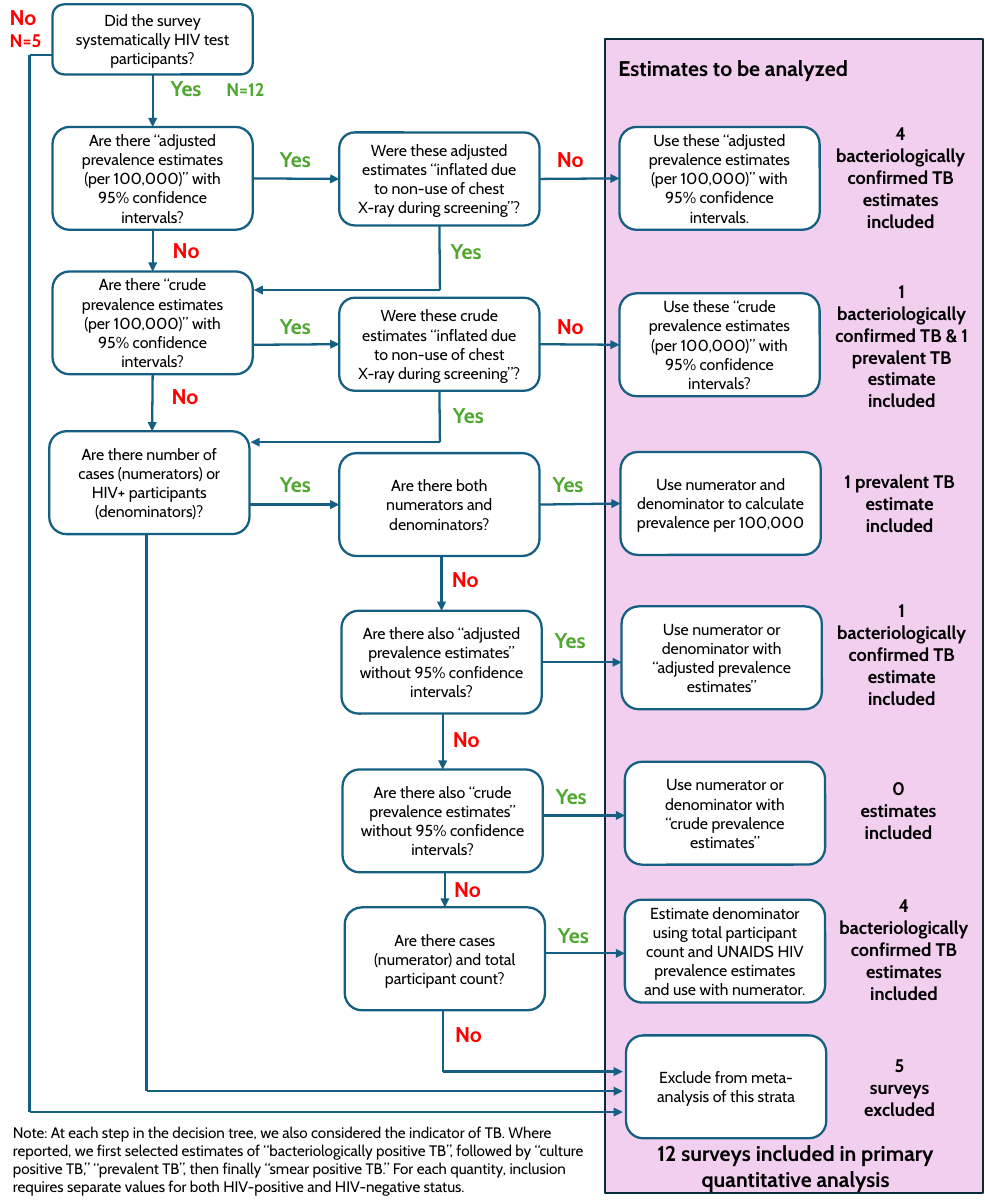
from pptx import Presentation
from pptx.dml.color import RGBColor
from pptx.enum.shapes import MSO_CONNECTOR, MSO_SHAPE
from pptx.enum.text import MSO_ANCHOR, MSO_AUTO_SIZE, PP_ALIGN
from pptx.util import Inches, Pt
from lxml.etree import SubElement
from pptx.oxml.ns import qn

FONT = "Cabin"
BLACK = RGBColor(0x00, 0x00, 0x00)
WHITE = RGBColor(0xFF, 0xFF, 0xFF)
PINK = RGBColor(0xF2, 0xCF, 0xEE)
NAVY = RGBColor(0x09, 0x2A, 0x39)
TEAL = RGBColor(0x15, 0x60, 0x82)
GREEN = RGBColor(0x4E, 0xA7, 0x2E)
RED = RGBColor(0xFF, 0x00, 0x00)
ANSWER = {"Yes": GREEN, "No": RED}

BOX_W, BOX_H = 1.83, 0.94
PANEL = (5.53, 0.36, 3.45, 10.54)
NOTE = (0.02, 10.21, 5.52, 0.77)

# Questions: key -> (left, top, height, text)
QUESTIONS = {
    "tested": (0.48, 0.04, 0.64, "Did the survey systematically HIV test participants?"),
    "adjusted": (0.48, 1.16, BOX_H, "Are there “adjusted prevalence estimates (per 100,000)” "
                 "with 95% confidence intervals?"),
    "crude": (0.48, 2.48, BOX_H, "Are there “crude prevalence estimates (per 100,000)” "
              "with 95% confidence intervals?"),
    "counts": (0.45, 3.94, BOX_H, "Are there number of cases (numerators) or HIV+ participants "
               "(denominators)?"),
    "adjusted_inflated": (3.1, 1.21, 0.85, "Were these adjusted estimates “inflated due to "
                          "non-use of chest\vX-ray during screening”?"),
    "crude_inflated": (3.1, 2.72, 0.85, "Were these crude estimates “inflated due to "
                       "non-use of chest\vX-ray during screening”?"),
    "both": (3.1, 4.14, BOX_H, "Are there both numerators and denominators?"),
    "adjusted_no_ci": (3.12, 5.58, BOX_H, "Are there also “adjusted prevalence estimates” "
                       "without 95% confidence intervals?"),
    "crude_no_ci": (3.13, 7.03, BOX_H, "Are there also “crude prevalence estimates” "
                    "without 95% confidence intervals?"),
    "cases": (3.15, 8.29, BOX_H, "Are there cases (numerator) and total participant count?"),
}

# Outcomes: key -> (left and top in panel, text, tally centre in panel, tally)
OUTCOMES = {
    "use_adjusted": (0.13, 0.8, "Use these “adjusted prevalence estimates (per 100,000)” "
                     "with 95% confidence intervals.",
                     2.7, 1.26, "4\nbacteriologically confirmed TB\nestimates\nincluded"),
    "use_crude": (0.13, 2.32, "Use these “crude prevalence estimates (per 100,000)” "
                  "with 95% confidence intervals?",
                  2.71, 2.8, "1\nbacteriologically confirmed TB & 1 prevalent TB\n"
                  "estimate\nincluded"),
    "calculate": (0.14, 3.77, "Use numerator and denominator to calculate prevalence "
                  "per 100,000", 2.69, 4.24, "1 prevalent TB\nestimate\vincluded"),
    "with_adjusted": (0.15, 5.18, "Use numerator or denominator with\v"
                      "“adjusted prevalence estimates”",
                      2.71, 5.62, "1\nbacteriologically confirmed TB\nestimate\nincluded"),
    "with_crude": (0.18, 6.6, "Use numerator or denominator with\v"
                   "“crude prevalence estimates”", 2.68, 7.04, "0\nestimates\nincluded"),
    "estimate": (0.18, 7.86, "Estimate denominator using total participant count and UNAIDS "
                 "HIV prevalence estimates and use with numerator.",
                 2.73, 8.31, "4\nbacteriologically confirmed TB\nestimates\nincluded"),
    "exclude": (0.19, 9.1, "Exclude from meta-analysis of this strata",
                2.69, 9.57, "5\nsurveys\vexcluded"),
}


def fill_text(shape, text, size, color=BLACK, bold=False, align=PP_ALIGN.LEFT,
              anchor=MSO_ANCHOR.TOP, wrap=True):
    tf = shape.text_frame
    tf.text = text
    tf.word_wrap = wrap
    tf.auto_size = MSO_AUTO_SIZE.NONE
    tf.vertical_anchor = anchor
    for p in tf.paragraphs:
        p.alignment = align
        for r in p.runs:
            r.font.name, r.font.size, r.font.bold = FONT, Pt(size), bold
            r.font.color.rgb = color


def add_text(s, box, text, size, **style):
    fill_text(s.shapes.add_textbox(*map(Inches, box)), text, size, **style)


def add_label(s, x, y, text):
    add_text(s, (x, y, 0.55, 0.34), text, 14, color=ANSWER[text], bold=True, wrap=False)


def add_panel_shape(s, kind, box, fill, line):
    sp = s.shapes.add_shape(kind, *map(Inches, box))
    sp.shadow.inherit = False
    sp.fill.solid()
    sp.fill.fore_color.rgb = fill
    sp.line.color.rgb = line
    sp.line.width = Pt(1.5)
    return sp


def add_step(s, x, y, h, text):
    sp = add_panel_shape(s, MSO_SHAPE.ROUNDED_RECTANGLE, (x, y, BOX_W, h), WHITE, TEAL)
    fill_text(sp, text, 10.5, align=PP_ALIGN.CENTER, anchor=MSO_ANCHOR.MIDDLE)
    return sp


def add_line(s, start, end, arrow=True):
    """Each end is a point in inches or a (shape, side) pair."""
    joins = [hasattr(e[0], "left") for e in (start, end)]
    points = [(0, 0) if joined else e for e, joined in zip((start, end), joins)]
    c = s.shapes.add_connector(MSO_CONNECTOR.STRAIGHT,
                               *(Inches(v) for point in points for v in point))
    if joins[0]:
        c.begin_connect(*start)
    if joins[1]:
        c.end_connect(*end)
    c.line.color.rgb = TEAL
    c.line.width = Pt(1.5)
    if arrow:
        SubElement(c.line._get_or_add_ln(), qn("a:tailEnd"), type="triangle")
    SubElement(c.element.spPr, qn("a:effectLst"))


def add_route(s, *points):
    last = len(points) - 2
    for i, (start, end) in enumerate(zip(points, points[1:])):
        add_line(s, start, end, arrow=i == last)


def build_estimates_panel(s, box):
    x, y, w, h = box
    panel = add_panel_shape(s, MSO_SHAPE.RECTANGLE, box, PINK, NAVY)
    title = s.shapes.title
    title.element.addprevious(panel.element)
    title.left, title.top, title.width, title.height = map(
        Inches, (x + 0.02, y + 0.09, 2.9, 0.34))
    fill_text(title, "Estimates to be analyzed", 14, bold=True)
    steps = {}
    for key, (dx, dy, text, cx, cy, tally) in OUTCOMES.items():
        steps[key] = add_step(s, x + dx, y + dy, BOX_H, text)
        add_text(s, (x + cx - 0.76, y + cy - 0.65, 1.52, 1.3), tally, 12, bold=True,
                 align=PP_ALIGN.CENTER, anchor=MSO_ANCHOR.MIDDLE)
    add_text(s, (x + 0.03, y + h - 0.53, w - 0.03, 0.57),
             "12 surveys included in primary quantitative analysis", 14, bold=True,
             align=PP_ALIGN.CENTER)
    return steps


def build_decision_tree(s, outcomes):
    q = {key: add_step(s, *spec_) for key, spec_ in QUESTIONS.items()}

    # Left column to middle column
    for start, end, y in (((q["adjusted"], 3), "adjusted_inflated", 1.29),
                          ((2.31, 3.15), "crude_inflated", 2.81),
                          ((2.28, 4.61), "both", 4.26)):
        add_line(s, start, (q[end], 1))
        add_label(s, 2.46, y, "Yes")

    # Middle column to outcomes
    for a, b, y, label_y, answer in (
            ("adjusted_inflated", "use_adjusted", None, 1.29, "No"),
            ("crude_inflated", "use_crude", None, 2.81, "No"),
            ("both", "calculate", None, 4.26, "Yes"),
            ("adjusted_no_ci", "with_adjusted", 6.05, 5.68, "Yes"),
            ("crude_no_ci", "with_crude", 7.45, 7.11, "Yes"),
            ("cases", "estimate", 8.71, 8.38, "Yes")):
        right = QUESTIONS[a][0] + BOX_W
        if y is None:
            add_line(s, (q[a], 3), (outcomes[b], 1))
        else:
            add_line(s, (right, y), (outcomes[b].left.inches, y))
        add_label(s, right + (0.06 if answer == "No" else 0.02), label_y, answer)

    # Downward steps
    add_line(s, (q["tested"], 2), (q["adjusted"], 0))
    add_line(s, (q["adjusted"], 2), (q["crude"], 0))
    add_line(s, (q["crude"], 2), (1.39, 3.94))
    for a, b in (("both", "adjusted_no_ci"), ("adjusted_no_ci", "crude_no_ci"),
                 ("crude_no_ci", "cases")):
        top = QUESTIONS[a][1] + BOX_H
        add_line(s, (QUESTIONS[b][0] + BOX_W / 2, top), (q[b], 0))

    # Bent routes back to the left column and on to exclusion
    add_route(s, (q["adjusted_inflated"], 2), (4.02, 2.65), (2.32, 2.65))
    add_route(s, (q["crude_inflated"], 2), (4.02, 4.04), (2.29, 4.04))
    add_route(s, (4.05, 9.23), (4.05, 9.79), (5.69, 9.79))
    add_route(s, (1.34, 4.88), (1.34, 9.97), (5.69, 9.97))
    add_route(s, (0.48, 0.5), (0.27, 0.5), (0.27, 10.16), (5.69, 10.16))

    # Answers beside the downward lines
    for x, y, answer in ((1.46, 0.64, "Yes"), (-0.01, -0.01, "No"),
                         (1.48, 2.12, "No"), (1.47, 3.45, "No"),
                         (4.02, 2.13, "Yes"), (4.04, 3.63, "Yes"),
                         (4.03, 5.12, "No"), (4.04, 6.59, "No"),
                         (4.05, 7.96, "No"), (4.06, 9.28, "No")):
        add_label(s, x, y, answer)
    for x, y, count, color in ((1.97, 0.67, "N=12", GREEN), (-0.01, 0.22, "N=5", RED)):
        add_text(s, (x, y, 0.6, 0.3), count, 12, color=color, bold=True, wrap=False)


def build_note(s, box):
    add_text(s, box, "Note: At each step in the decision tree, we also considered the "
             "indicator of TB. Where reported, we first selected estimates of "
             "“bacteriologically positive TB”, followed by “culture positive TB,” "
             "“prevalent TB”, then finally “smear positive TB.” For each quantity, "
             "inclusion requires separate values for both HIV-positive and HIV-negative "
             "status.", 10)


def main():
    prs = Presentation()
    prs.slide_width, prs.slide_height = Inches(9), Inches(11)
    s = prs.slides.add_slide(prs.slide_layouts[5])
    outcomes = build_estimates_panel(s, PANEL)
    build_decision_tree(s, outcomes)
    build_note(s, NOTE)
    prs.save("out.pptx")


if __name__ == "__main__":
    main()
